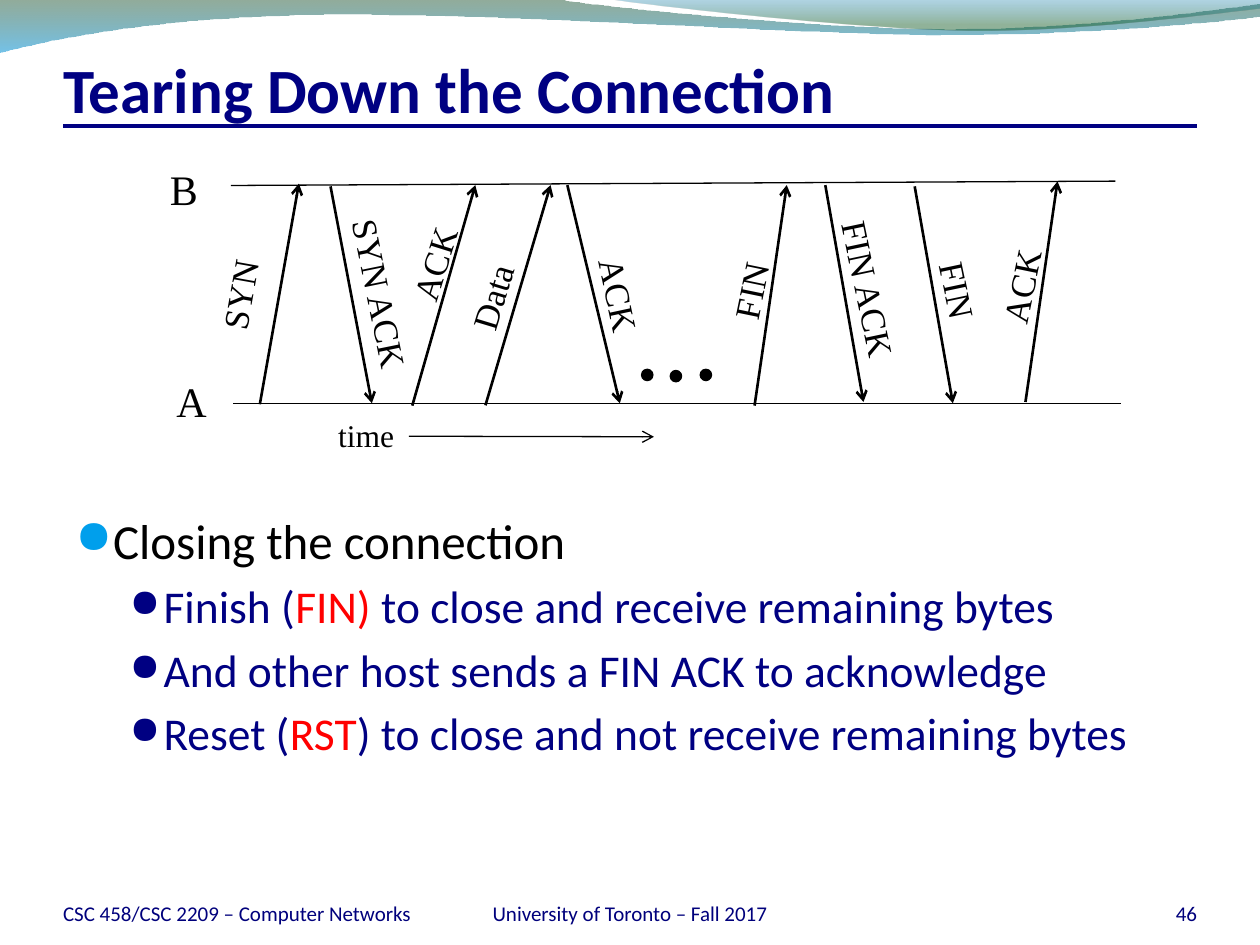
"""Build the slide on tearing down a TCP connection."""
from lxml import etree
from pptx import Presentation, util as u
from pptx.dml.color import RGBColor
from pptx.enum import shapes, text
from pptx.oxml.ns import qn

NAVY, FOOTER, RED, BLACK, SKY = "000082", "00007C", "FF0000", "000000", "009FEC"
SANS, SERIF, SYMBOL = "Calibri", "Times New Roman", "OpenSymbol"
LEFT, CENTER, RIGHT = text.PP_ALIGN.LEFT, text.PP_ALIGN.CENTER, text.PP_ALIGN.RIGHT

WAVES = [
    ((0, -0.7), [(316.8, -0.7), (342.7, 4.3, 478.1, 16.6, 545.8, 16.6),
                 (614.2, 16.6, 689.8, 6.5, 720, 2.2), (720.7, 9.4),
                 (707.8, 11.5, 626.4, 20.2, 537.1, 20.2),
                 (447.8, 19.4, 275, 7.2, 185, 8.6), (92.9, 9.4, 33.1, 21.6, -0.7, 30.2)],
     [(0, "0F461E", 45), (100, "0090D6", 55)]),
    ((344.9, -0.7), [(366.5, 2.9, 491, 16.6, 553.7, 17.3),
                     (616.3, 18, 691.9, 7.9, 720, 5), (720, -0.7)],
     [(0, "0076AF", 30), (80, "0D5821", 45)]),
]
MESSAGES = [
    ("SYN", (148.5, 231, 170.8, 105), (136.8, 168.1, 54.7), 280.1),
    ("SYN ACK", (188.9, 106.5, 212.5, 230.4), (217.4, 167.8, 102.2), 78.5),
    ("ACK", (235.6, 231.8, 271.6, 105.8), (248, 150.7, 56.9), 287.4),
    ("Data", (277.4, 231.6, 314.6, 105.8), (281, 169.6, 52.6), 286.7),
    ("ACK", (324.2, 105.8, 354.2, 230.4), (354, 168.6, 56.9), 77.9),
    ("FIN", (431.2, 231.8, 449.6, 105.8), (428.8, 166, 46.8), 281.6),
    ("FIN ACK", (471.6, 105.8, 493.4, 229.7), (496.5, 165.2, 94.3), 78.1),
    ("FIN", (522.7, 106.5, 544.5, 230.4), (547.6, 166, 46.8), 78.1),
    ("ACK", (586, 229.7, 604.3, 103.7), (583.4, 163.7, 56.9), 281.6),
]
BULLETS = [
    (0, [("Closing the connection", BLACK)]),
    (1, [("Finish (", NAVY), ("FIN)", RED),
         (" to close and receive remaining bytes", NAVY)]),
    (1, [("And other host sends a FIN ACK to acknowledge", NAVY)]),
    (1, [("Reset (", NAVY), ("RST", RED),
         (") to close and not receive remaining bytes", NAVY)]),
]
LEVELS = [(28, 21.6, 21.6, SKY, 95), (26, 50.4, 19.4, NAVY, 85)]


def color(value):
    """Turn a hex string into a colour."""
    return RGBColor.from_string(value)


class Painter:
    """Hold the style and the current slide."""

    def __init__(self, page):
        """Keep the slide to draw on."""
        self.page = page

    def style(self, span, size, hue, font, bold=False):
        """Format one run."""
        span.font.size, span.font.name, span.font.bold = u.Pt(size), font, bold
        span.font.color.rgb = color(hue)

    def title(self, words, bounds):
        """Place and format the title placeholder."""
        box = self.page.shapes.title
        box.left, box.top, box.width, box.height = map(u.Pt, bounds)
        frame = box.text_frame
        frame.text = words
        frame.auto_size = text.MSO_AUTO_SIZE.NONE
        frame.vertical_anchor = text.MSO_ANCHOR.BOTTOM
        frame.margin_left = frame.margin_right = frame.margin_bottom = 0
        frame.margin_top = u.Pt(3.6)
        frame.paragraphs[0].alignment = LEFT
        self.style(frame.paragraphs[0].runs[0], 36, NAVY, SANS, True)

    def wave(self, start, parts, stops):
        """Draw a curved outline with a translucent gradient."""
        builder = self.page.shapes.build_freeform(*map(u.Pt, start))
        builder.add_line_segments(
            [tuple(map(u.Pt, part[-2:])) for part in parts], close=True)
        shape = builder.convert_to_shape()
        for node, part in zip(list(shape.element.iter(qn("a:lnTo"))), parts):
            if len(part) == 6:
                node.addprevious(self.bend(part, shape.left, shape.top))
                node.getparent().remove(node)
        shape.shadow.inherit = False
        shape.line.fill.background()
        shape.fill.gradient()
        shape.fill.gradient_angle = 270
        nodes = shape.element.spPr.iter(qn("a:gs"))
        for stop, node, (place, hue, opacity) in zip(
                shape.fill.gradient_stops, nodes, stops):
            stop.color.rgb = color(hue)
            node.set("pos", str(place * 1000))
            etree.SubElement(node[0], qn("a:alpha"), val=str(opacity * 1000))

    def bend(self, part, left, top):
        """Return a cubic curve relative to the outline's corner."""
        curve = etree.Element(qn("a:cubicBezTo"))
        for x, y in zip(part[::2], part[1::2]):
            etree.SubElement(curve, qn("a:pt"), x=str(u.Pt(x) - left),
                             y=str(u.Pt(y) - top))
        return curve

    def line(self, ends, width, hue=BLACK, arrow=False):
        """Draw a straight line, with an arrowhead if asked."""
        line = self.page.shapes.add_connector(
            shapes.MSO_CONNECTOR.STRAIGHT, *map(u.Pt, ends))
        line.line.width = u.Pt(width)
        line.line.color.rgb = color(hue)
        properties = line.element.spPr
        if arrow:
            etree.SubElement(properties.find(qn("a:ln")), qn("a:tailEnd"), type="arrow")
        etree.SubElement(properties, qn("a:effectLst"))

    def label(self, words, center, size, angle=0):
        """Write a rotatable label around its centre."""
        x, y, width = center
        height = size * 1.2 + 7.2
        box = self.page.shapes.add_textbox(*map(
            u.Pt, (x - width / 2, y - height / 2, width, height)))
        box.rotation = angle
        frame = box.text_frame
        frame.text = words
        frame.word_wrap = False
        frame.auto_size = text.MSO_AUTO_SIZE.SHAPE_TO_FIT_TEXT
        frame.vertical_anchor = text.MSO_ANCHOR.MIDDLE
        frame.paragraphs[0].alignment = CENTER
        self.style(frame.paragraphs[0].runs[0], size, BLACK, SERIF)

    def footer(self, words, left, width, align):
        """Write one part of the footer."""
        box = self.page.shapes.add_textbox(*map(u.Pt, (left, 500.4, width, 28.8)))
        frame = box.text_frame
        frame.text = words
        frame.word_wrap = True
        frame.vertical_anchor = text.MSO_ANCHOR.BOTTOM
        frame.margin_left = frame.margin_right = 0
        frame.margin_top = frame.margin_bottom = 0
        frame.paragraphs[0].alignment = align
        self.style(frame.paragraphs[0].runs[0], 12, FOOTER, SANS)

    def bullets(self, items, bounds):
        """Write a two-level bullet list."""
        frame = self.page.shapes.add_textbox(*map(u.Pt, bounds)).text_frame
        frame.word_wrap = True
        for index, (level, pieces) in enumerate(items):
            para = frame.add_paragraph() if index else frame.paragraphs[0]
            size, margin, hang, hue, percent = LEVELS[level]
            para.level = level
            para.space_before = u.Pt(size * 0.2)
            for words, ink in pieces:
                span = para.add_run()
                span.text = words
                self.style(span, size, ink, SANS)
            layout = para._p.get_or_add_pPr()
            layout.set("marL", str(u.Pt(margin)))
            layout.set("indent", str(-u.Pt(hang)))
            tint = etree.SubElement(layout, qn("a:buClr"))
            etree.SubElement(tint, qn("a:srgbClr"), val=hue)
            etree.SubElement(layout, qn("a:buSzPct"), val=str(percent * 1000))
            etree.SubElement(layout, qn("a:buFont"), typeface=SYMBOL)
            etree.SubElement(layout, qn("a:buChar"), char="●")

    def dot(self, left, top, size):
        """Draw a filled black dot."""
        shape = self.page.shapes.add_shape(
            shapes.MSO_SHAPE.OVAL, *map(u.Pt, (left, top, size, size)))
        shape.shadow.inherit = False
        shape.fill.solid()
        shape.fill.fore_color.rgb = shape.line.color.rgb = color(BLACK)
        shape.line.width = u.Pt(0.75)


def main():
    """Build and save the deck."""
    deck = Presentation()
    deck.slide_width, deck.slide_height = u.Pt(720), u.Pt(540)
    painter = Painter(deck.slides.add_slide(deck.slide_layouts[5]))
    for wave in WAVES:
        painter.wave(*wave)
    painter.line((36, 72, 684, 72), 2.25, NAVY)
    painter.title("Tearing Down the Connection", (36, 24, 648, 48))
    painter.bullets(BULLETS, (36, 288, 648, 210))
    painter.footer("CSC 458/CSC 2209 – Computer Networks", 36, 204, LEFT)
    painter.footer("University of Toronto – Fall 2017", 246, 228, CENTER)
    painter.footer("46", 624, 60, RIGHT)
    painter.line((132, 106, 637.4, 103.5), 0.75)
    painter.line((133.2, 230.4, 640.8, 230.4), 0.75)
    for words, ends, center, angle in MESSAGES:
        painter.line(ends, 1.5, arrow=True)
        painter.label(words, center, 20, angle)
    painter.line((233.6, 249.3, 373.7, 249.6), 0.75, arrow=True)
    painter.label("time", (209.2, 248.4, 46.8), 18)
    painter.label("A", (109.4, 229, 31.7), 24)
    painter.label("B", (105.1, 108, 30.2), 24)
    for left, top in [(366.6, 211), (383, 211.7), (400.1, 211)]:
        painter.dot(left, top, 6.5)
    deck.save("out.pptx")


if __name__ == "__main__":
    main()
